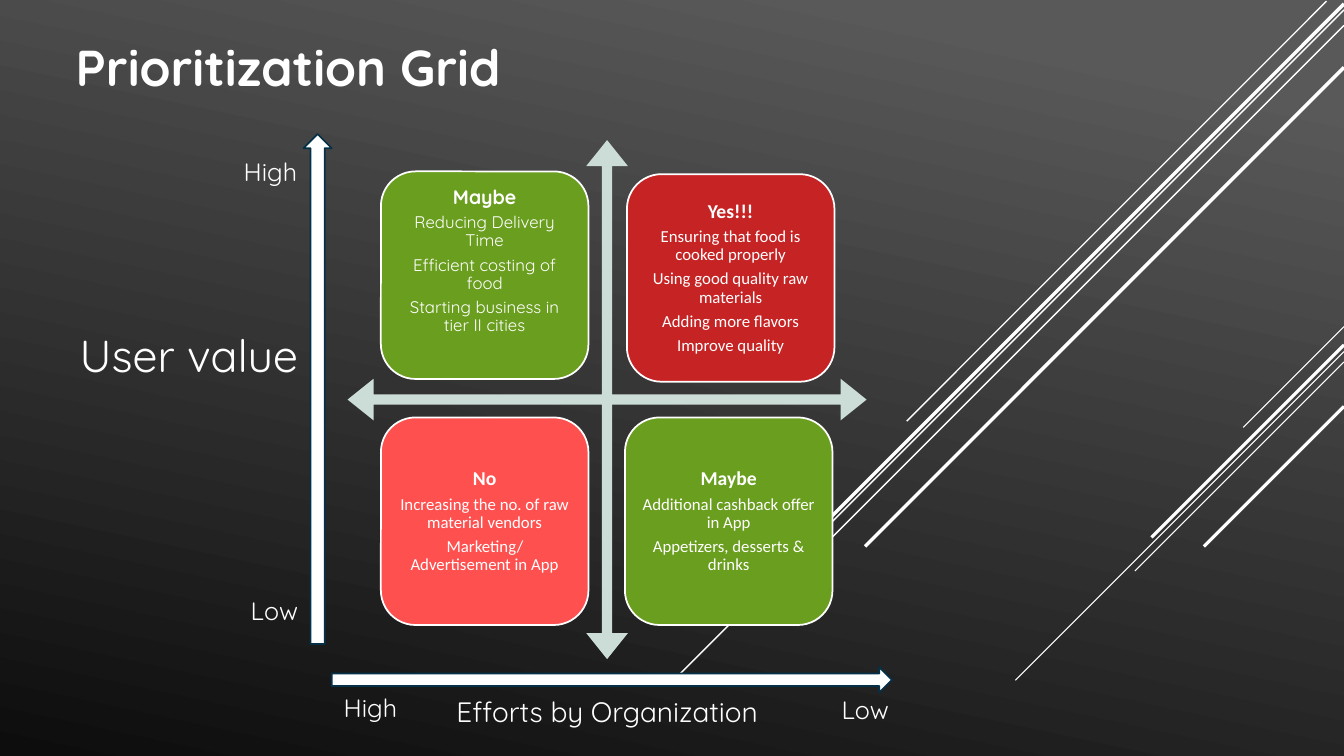
import pptx
import pptx.util
import pptx.dml.color
import pptx.enum.shapes
import pptx.enum.text
from lxml import etree

Cm = pptx.util.Cm
Pt = pptx.util.Pt
ShapeType = pptx.enum.shapes.MSO_SHAPE
Align = pptx.enum.text.PP_ALIGN
Anchor = pptx.enum.text.MSO_ANCHOR
COLORS = {name: pptx.dml.color.RGBColor.from_string(value) for name, value in {
    "white": "FFFFFF", "top": "595959", "bottom": "0D0D0D", "cross": "CCDDD7",
    "green": "6A9E1F", "red": "C62324", "coral": "FF5050", "navy": "043148"}.items()}

presentation = pptx.Presentation()
presentation.slide_width = Cm(33.87)
presentation.slide_height = Cm(19.05)
slide = presentation.slides.add_slide(presentation.slide_layouts[5])


def add_run(paragraph, text, size, font="Quicksand", bold=False):
    run = paragraph.add_run()
    run.text = text
    run.font.name = font
    run.font.size = Pt(size)
    run.font.bold = bold
    run.font.color.rgb = COLORS["white"]


def add_block(kind, left, top, width, height, fill, line=None):
    shape = slide.shapes.add_shape(kind, Cm(left), Cm(top), Cm(width), Cm(height))
    shape.shadow.inherit = False
    shape.fill.solid()
    shape.fill.fore_color.rgb = COLORS[fill]
    if line:
        shape.line.color.rgb = COLORS[line]
        shape.line.width = Pt(1.25)
    else:
        shape.line.fill.background()
    return shape


background = slide.background.fill
background.gradient()
background.gradient_angle = 258
for stop, position, color in zip(background.gradient_stops, (0.1, 1), ("top", "bottom")):
    stop.position = position
    stop.color.rgb = COLORS[color]

diagonals = [
    (33.87, 8.23, 2.54, 0.75), (33.87, 8.86, 8.28, 0.75), (33.87, 9.12, 5.27, 0.75),
    (33.87, 8.69, 4.85, 2.25), (33.87, 10.24, 3.53, 2.25), (33.43, 0.03, 10.58, 1),
    (33.87, 0.25, 16.89, 1), (33.87, 0.64, 13.77, 1), (33.87, 0.1, 13.47, 2.5),
    (33.87, 1.7, 12.07, 2.5)]
for x, y, reach, weight in diagonals:
    connector = slide.shapes.add_connector(
        pptx.enum.shapes.MSO_CONNECTOR.STRAIGHT, Cm(x), Cm(y), Cm(x - reach), Cm(y + reach))
    connector.line.color.rgb = COLORS["white"]
    connector.line.width = Pt(weight)
    properties = connector.element.spPr
    etree.SubElement(properties, pptx.oxml.ns.qn("a:effectLst"))

cross = add_block(ShapeType.QUAD_ARROW, 8.76, 3.53, 13.08, 13.08, "cross")
for index, value in enumerate((0.02, 0.04, 0.05)):
    cross.adjustments[index] = value

cards = [
    (9.6, 4.32, "green", "Quicksand", 0.86, "Maybe",
     ["Reducing Delivery Time", "Efficient costing of food",
      "Starting business in tier II cities"]),
    (15.8, 4.39, "red", "Calibri", 0.15, "Yes!!!",
     ["Ensuring that food is cooked properly", "Using good quality raw materials",
      "Adding more flavors", "Improve quality"]),
    (9.6, 10.52, "coral", "Calibri", 0.15, "No",
     ["Increasing the no. of raw material vendors", "Marketing/Advertisement in App"]),
    (15.75, 10.52, "green", "Calibri", 0.15, "Maybe",
     ["Additional cashback offer in App", "Appetizers, desserts & drinks"])]
for left, top, fill, font, bottom_inset, heading, ideas in cards:
    card = add_block(ShapeType.ROUNDED_RECTANGLE, left, top, 5.23, 5.23, fill, "white")
    frame = card.text_frame
    frame.word_wrap = True
    frame.vertical_anchor = Anchor.MIDDLE
    frame.margin_left = frame.margin_right = frame.margin_top = Cm(0.15)
    frame.margin_bottom = Cm(bottom_inset)
    for index, text in enumerate([heading] + ideas):
        paragraph = frame.add_paragraph() if index else frame.paragraphs[0]
        paragraph.alignment = Align.CENTER
        paragraph.line_spacing = 0.9
        paragraph.space_after = Pt(4.2)
        add_run(paragraph, text, 12 if index else 14, font, index == 0)

add_block(ShapeType.UP_ARROW, 7.65, 3.38, 0.71, 12.85, "white", "navy")
add_block(ShapeType.RIGHT_ARROW, 8.36, 16.81, 14.12, 0.64, "white", "navy")

title = slide.shapes.title
title.left, title.top, title.width, title.height = Cm(1.65), Cm(0.79), Cm(13.31), Cm(1.8)
title.text_frame.auto_size = pptx.enum.text.MSO_AUTO_SIZE.NONE
title.text_frame.vertical_anchor = Anchor.TOP
title.text_frame.paragraphs[0].alignment = Align.LEFT
add_run(title.text_frame.paragraphs[0], "Prioritization Grid", 36, bold=True)

labels = [
    ("User value", 1.07, 8.13, 7.39, 1.63, 32),
    ("Efforts by Organization", 6.96, 17.37, 16.69, 1.12, 20),
    ("High", 5.56, 3.81, 2.51, 1.02, 18),
    ("Low", 5.66, 14.88, 2.51, 1.02, 18),
    ("High", 8.08, 17.32, 2.51, 1.02, 18),
    ("Low", 20.55, 17.37, 2.51, 1.02, 18)]
for text, left, top, width, height, size in labels:
    label = slide.shapes.add_textbox(Cm(left), Cm(top), Cm(width), Cm(height))
    label.text_frame.word_wrap = True
    paragraph = label.text_frame.paragraphs[0]
    paragraph.alignment = Align.CENTER
    add_run(paragraph, text, size)

presentation.save("out.pptx")
